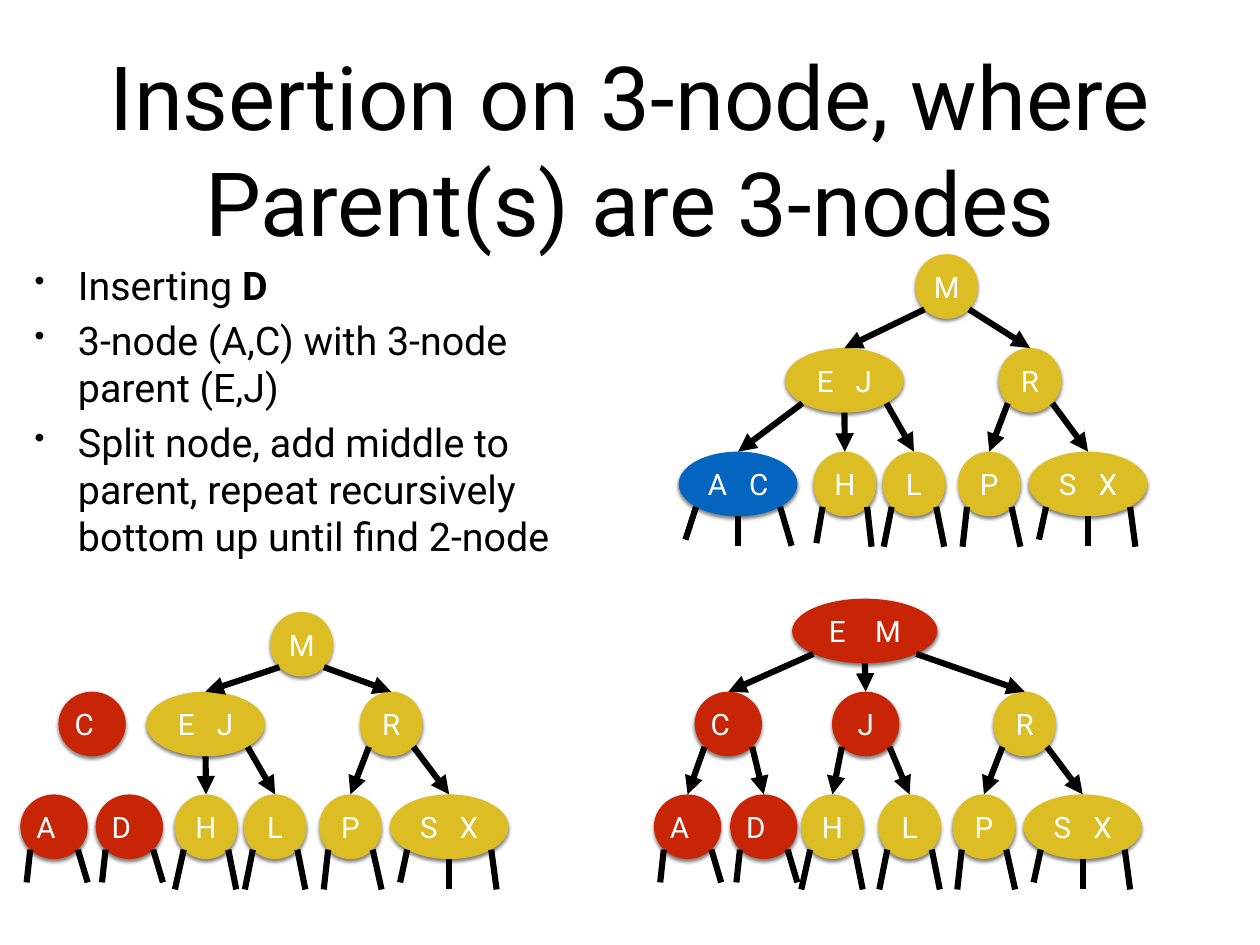
from lxml import etree
from pptx import Presentation
from pptx.dml.color import RGBColor
from pptx.enum import shapes, text
from pptx.oxml import ns
from pptx.util import Inches, Pt

BLACK = RGBColor(0x00, 0x00, 0x00)
WHITE = RGBColor(0xFF, 0xFF, 0xFF)
GOLD = RGBColor(0xDC, 0xBD, 0x23)
BLUE = RGBColor(0x03, 0x65, 0xC0)
RED = RGBColor(0xC8, 0x25, 0x06)

NODE_H = 0.73
ONE, RED_ONE, TWO, WIDE_TWO = 0.71, 0.76, 1.34, 1.64  # node widths
SIDE, LOW = 0.354, 0.854  # where the diagonals of an ellipse meet its edge

# Open links below the leaves, as (dx, dy)
STUB_RED = [(-0.04, 0.37), (0.11, 0.37)]
STUB_H = [(-0.1, 0.45), (0.09, 0.45)]
STUB_H_TOP = [(-0.07, 0.41), (0.05, 0.45)]
STUB_L = [(-0.09, 0.45), (0.09, 0.45)]
STUB_P = [(-0.05, 0.45), (0.1, 0.45)]
STUB_SX = [(-0.08, 0.37), (0, 0.34), (0.06, 0.45)]
STUB_AC = [(-0.12, 0.37), (0, 0.34), (0.13, 0.44)]


def add_run(p, words, size, color, bold=False):
    r = p.add_run()
    r.text = words
    for name, value in {"name": "Roboto", "size": Pt(size), "bold": bold}.items():
        setattr(r.font, name, value)
    r.font.color.rgb = color
    return r


def set_frame(tf, left=0.06, right=0.06):
    frame = {"word_wrap": True, "vertical_anchor": text.MSO_ANCHOR.MIDDLE,
             "margin_left": Inches(left), "margin_right": Inches(right),
             "margin_top": Inches(0.06), "margin_bottom": Inches(0.06)}
    for name, value in frame.items():
        setattr(tf, name, value)


prs = Presentation()
prs.slide_width, prs.slide_height = Inches(14.22), Inches(10.67)
s = prs.slides.add_slide(prs.slide_layouts[6])

# Title
tf = s.shapes.add_textbox(Inches(1.04), Inches(0.49), Inches(12.14), Inches(2.36)).text_frame
set_frame(tf)
p = tf.paragraphs[0]
p.alignment = text.PP_ALIGN.CENTER
add_run(p, "Insertion on 3-node, where Parent(s) are 3-nodes", 72, BLACK)

# Bullets, each a list of (words, bold)
bullets = [
    [("Inserting ", False), ("D", True)],
    [("3-node (A,C) with 3-node parent (E,J)", False)],
    [("Split node, add middle to parent, repeat recursively "
      "bottom up until find 2-node", False)],
]
tf = s.shapes.add_textbox(Inches(0.33), Inches(2.82), Inches(6.32), Inches(3.63)).text_frame
set_frame(tf)
for i, runs in enumerate(bullets):
    p = tf.add_paragraph() if i else tf.paragraphs[0]
    p.space_before = Pt(6 if i else 0)
    pPr = p._p.get_or_add_pPr()
    pPr.set("marL", str(Inches(0.49)))
    pPr.set("indent", str(-Inches(0.49)))
    etree.SubElement(pPr, ns.qn("a:buSzPct")).set("val", "75000")
    etree.SubElement(pPr, ns.qn("a:buChar")).set("char", "•")
    for words, bold in runs:
        add_run(p, words, 32, BLACK, bold)

# Trees: left edge of the R node, tops of the levels, then the other nodes as
# (keys, left, level, width, fill, ports, targets); a target is a node or a stub
trees = [
    (11.27, (2.87, 3.93, 5.1), [
        ("M", 10.33, 0, ONE, GOLD, "LR", ["EJ", "R"]),
        ("EJ", 8.86, 1, TWO, GOLD, "LCR", ["AC", "H", "L"]),
        ("AC", 7.66, 2, TWO, BLUE, "LCR", STUB_AC),
        ("H", 9.18, 2, ONE, GOLD, "LR", STUB_H_TOP),
        ("L", 9.96, 2, ONE, GOLD, "LR", STUB_L),
    ]),
    (4.06, (6.91, 7.81, 8.97), [
        ("M", 3.05, 0, ONE, GOLD, "LR", ["EJ", "R"]),
        ("C", 0.66, 1, RED_ONE, RED, "", []),
        ("EJ", 1.65, 1, TWO, GOLD, "CR", ["H", "L"]),
        ("A", 0.23, 2, RED_ONE, RED, "LR", STUB_RED),
        ("D", 1.08, 2, RED_ONE, RED, "LR", STUB_RED),
        ("H", 1.97, 2, ONE, GOLD, "LR", STUB_H),
        ("L", 2.75, 2, ONE, GOLD, "LR", STUB_L),
    ]),
    (11.21, (6.76, 7.81, 8.97), [
        ("EM", 8.94, 0, WIDE_TWO, RED, "LCR", ["C", "J", "R"]),
        ("C", 7.84, 1, RED_ONE, RED, "LR", ["A", "D"]),
        ("J", 9.39, 1, RED_ONE, RED, "LR", ["H", "L"]),
        ("A", 7.38, 2, RED_ONE, RED, "LR", STUB_RED),
        ("D", 8.24, 2, RED_ONE, RED, "LR", STUB_RED),
        ("H", 9.04, 2, ONE, GOLD, "LR", STUB_H),
        ("L", 9.91, 2, ONE, GOLD, "LR", STUB_L),
    ]),
]
for r_left, tops, nodes in trees:
    # The subtree under R is the same in every tree
    nodes = nodes + [
        ("R", r_left, 1, ONE, GOLD, "LR", ["P", "SX"]),
        ("P", r_left - 0.46, 2, ONE, GOLD, "LR", STUB_P),
        ("SX", r_left + 0.34, 2, TWO, GOLD, "LCR", STUB_SX),
    ]

    # Nodes
    node_tops = {}
    for keys, left, level, width, fill, ports, targets in nodes:
        node_tops[keys] = (left + width / 2, tops[level])
        sp = s.shapes.add_shape(shapes.MSO_SHAPE.OVAL, Inches(left), Inches(tops[level]),
                                Inches(width), Inches(NODE_H))
        sp.fill.solid()
        sp.fill.fore_color.rgb = fill
        sp.line.fill.background()
        sp.shadow.inherit = False
        effects = sp._element.spPr.find(ns.qn("a:effectLst"))
        shadow = etree.SubElement(effects, ns.qn("a:outerShdw"), blurRad=str(Pt(3)),
                                  dist=str(Pt(2)), dir="5400000", rotWithShape="0")
        color = etree.SubElement(shadow, ns.qn("a:srgbClr"), val=str(BLACK))
        etree.SubElement(color, ns.qn("a:alpha"), val="50000")

        tf = sp.text_frame
        if keys in ("A", "C", "D"):  # these letters sit left of the centre
            set_frame(tf, 0, 0.18)
        else:
            set_frame(tf)
        p = tf.paragraphs[0]
        p.alignment = text.PP_ALIGN.CENTER
        for i, key in enumerate(keys):
            if i:
                gap = add_run(p, " ", 24, WHITE)
                gap.font._element.set("spc", "1800" if width == WIDE_TWO else "1200")
            add_run(p, key, 24, WHITE)

    # Arrows to children and open links below leaves
    for keys, left, level, width, fill, ports, targets in nodes:
        for port, target in zip(ports, targets):
            x = left + width / 2 + {"L": -SIDE, "C": 0, "R": SIDE}[port] * width
            y = tops[level] + NODE_H * (1 if port == "C" else LOW)
            is_child = target in node_tops
            end_x, end_y = node_tops[target] if is_child else (x + target[0], y + target[1])
            link = s.shapes.add_connector(shapes.MSO_CONNECTOR.STRAIGHT, Inches(x), Inches(y),
                                          Inches(end_x), Inches(end_y))
            link.line.color.rgb = BLACK
            link.line.width = Pt(5)
            if is_child:
                etree.SubElement(link.line._get_or_add_ln(), ns.qn("a:tailEnd"), type="triangle")
            etree.SubElement(link._element.spPr, ns.qn("a:effectLst"))

prs.save("out.pptx")
